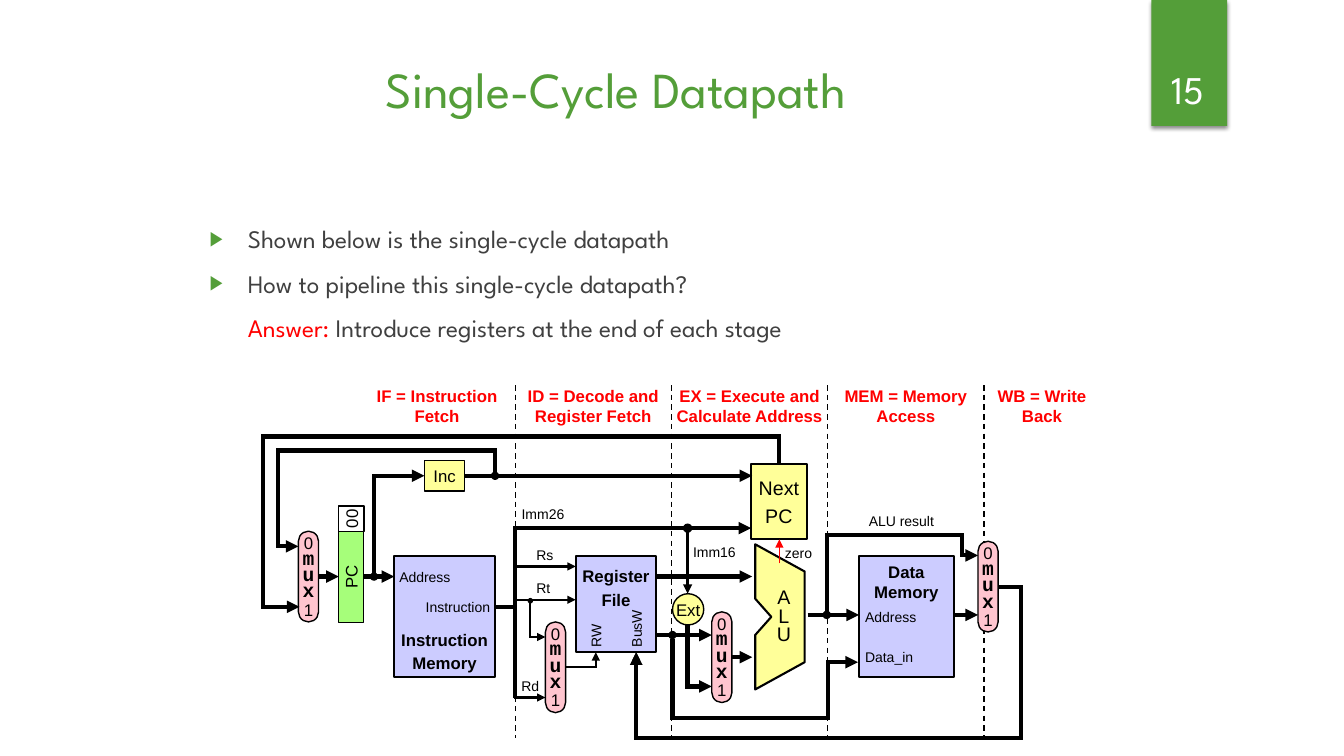
from dataclasses import dataclass
from lxml.etree import SubElement
from pptx import Presentation
from pptx.dml.color import RGBColor
from pptx.enum.dml import MSO_LINE
from pptx.enum.shapes import MSO_CONNECTOR, MSO_SHAPE
from pptx.enum.text import MSO_ANCHOR as ANCHOR, PP_ALIGN as ALIGN
from pptx.oxml.ns import qn
from pptx.util import Inches, Pt


@dataclass(frozen=True)
class Theme:
    green: str = "549E39"
    gray: str = "404040"
    black: str = "000000"
    white: str = "FFFFFF"
    red: str = "FF0000"
    blue: str = "CCCCFF"
    yellow: str = "FFFF99"
    lime: str = "A6FE7A"
    pink: str = "FFC5CF"
    heading: str = "League Spartan"
    diagram: str = "Arial"
    mono: str = "Courier New"
    title: int = 36
    number: int = 28
    body: int = 18
    large: int = 14
    medium: int = 12
    small: int = 10


T = Theme()
RECT, ROUND = MSO_SHAPE.RECTANGLE, MSO_SHAPE.ROUNDED_RECTANGLE
LEFT, CENTER, RIGHT = ALIGN.LEFT, ALIGN.CENTER, ALIGN.RIGHT
TOP, MIDDLE, BOTTOM = ANCHOR.TOP, ANCHOR.MIDDLE, ANCHOR.BOTTOM

TITLE = "Single-Cycle Datapath"
PAGE_NUMBER = "15"
BULLETS = [
    (True, [("Shown below is the single-cycle datapath", T.gray)]),
    (True, [("How to pipeline this single-cycle datapath?", T.gray)]),
    (False, [("Answer:", T.red), (" Introduce registers at the end of each stage", T.gray)]),
]
STAGES = ["IF = Instruction Fetch", "ID = Decode and Register Fetch",
          "EX = Execute and Calculate Address", "MEM = Memory Access", "WB = Write Back"]
STAGE_LEFT, STAGE_TOP, STAGE_WIDTH, STAGE_BOTTOM = 3.56, 3.82, 1.55, 7.32

# fmt: off
BLOCKS = [
    (RECT, (3.91, 5.52, 1, 1.2), 0, T.blue, 1.5, ["Instruction", "Memory"], dict(bold=True, anchor=BOTTOM, spacing=1.1)),
    (RECT, (4.21, 4.57, 0.4, 0.3), 0, T.yellow, 1, ["Inc"], {}),
    (RECT, (3.03, 5.6, 0.9, 0.25), 270, T.lime, 1, ["PC"], {}),
    (RECT, (3.36, 5.02, 0.25, 0.25), 270, T.white, 1, ["00"], {}),
    (RECT, (8.52, 5.52, 0.94, 1.2), 0, T.blue, 1.5, ["Data", "Memory"], dict(bold=True, anchor=TOP)),
    (RECT, (5.71, 5.52, 0.8, 0.95), 0, T.blue, 1.5, ["Register", "File"], dict(bold=True, anchor=TOP, spacing=1.2)),
    (RECT, (7.45, 4.6, 0.55, 0.75), 0, T.yellow, 1.5, ["Next", "PC"], dict(size=T.large, before=2.8)),
]
EXTENDER = (6.67, 5.89, 0.31, 0.31)
MUXES = [(2.96, 5.27), (7.06, 6.07), (9.7, 5.37), (5.41, 6.17)]
MUX_TEXTS = [
    (0, 0.9, ["m", "u", "x"], dict(size=T.large, font=T.mono, bold=True, spacing=0.7)),
    (0.03, 0.17, ["0"], {}),
    (0.65, 0.25, ["1"], {}),
]
ALU = [(7.49, 6.84), (7.98, 6.57), (7.98, 5.67), (7.49, 5.4), (7.49, 5.94), (7.65, 6.12), (7.49, 6.3)]
LABELS = [
    ("Imm26", (5.16, 4.97, 0.45, 0.25), 0, CENTER),
    ("Imm16", (6.86, 5.35, 0.45, 0.25), 0, CENTER),
    ("Rs", (5.32, 5.37, 0.25, 0.27), 0, LEFT),
    ("Rt", (5.32, 5.7, 0.25, 0.27), 0, LEFT),
    ("Rd", (5.11, 6.67, 0.3, 0.27), 0, CENTER),
    ("Address", (3.96, 5.62, 0.55, 0.2), 0, LEFT),
    ("Instruction", (4.11, 5.92, 0.75, 0.2), 0, RIGHT),
    ("Address", (8.58, 6.02, 0.6, 0.2), 0, LEFT),
    ("Data_in", (8.58, 6.42, 0.6, 0.2), 0, LEFT),
    ("ALU result", (8.54, 5.04, 0.8, 0.25), 0, CENTER),
    ("zero", (7.77, 5.36, 0.3, 0.25), 0, CENTER),
    ("BusW", (6.01, 6.02, 0.6, 0.2), 270, LEFT),
    ("RW", (5.65, 6.06, 0.52, 0.2), 270, LEFT),
]
ARROW = dict(tail="triangle")
BRANCH = dict(head="oval", tail="triangle")
WIRES = [
    ([(9.9, 5.82), (10.13, 5.82), (10.13, 7.32), (6.31, 7.32), (6.31, 6.47)], 3, ARROW),
    ([(5.11, 5.62), (5.71, 5.62)], 1.5, ARROW),
    ([(5.11, 5.95), (5.71, 5.95)], 1.5, ARROW),
    ([(5.11, 5.22), (5.11, 6.92)], 3, {}),
    ([(3.61, 5.72), (3.91, 5.72)], 3, ARROW),
    ([(3.16, 5.72), (3.36, 5.72)], 3, ARROW),
    ([(4.61, 4.72), (7.46, 4.72)], 3, ARROW),
    ([(3.71, 5.72), (3.71, 4.72), (4.21, 4.72)], 3, BRANCH),
    ([(4.91, 6.02), (5.11, 6.02)], 3, {}),
    ([(6.51, 5.72), (7.46, 5.72)], 3, ARROW),
    ([(7.26, 6.52), (7.46, 6.52)], 3, ARROW),
    ([(6.51, 6.3), (7.06, 6.3)], 3, ARROW),
    ([(5.09, 5.24), (7.45, 5.24)], 3, ARROW),
    ([(5.11, 6.87), (5.11, 6.92), (5.41, 6.92)], 1.5, ARROW),
    ([(8.01, 6.1), (8.52, 6.1)], 3, ARROW),
    ([(6.67, 6.3), (6.67, 7.12), (8.21, 7.12), (8.21, 6.57), (8.51, 6.57)], 3, BRANCH),
    ([(9.46, 6.1), (9.7, 6.1)], 3, ARROW),
    ([(4.91, 4.72), (4.91, 4.47), (2.76, 4.47), (2.76, 5.42), (2.96, 5.42)], 3, BRANCH),
    ([(5.26, 5.96), (5.26, 6.32), (5.41, 6.32)], 1.5, BRANCH),
    ([(5.61, 6.62), (5.91, 6.62), (5.91, 6.47)], 1.5, ARROW),
    ([(6.31, 7.32), (6.31, 6.47)], 1, ARROW),
    ([(6.82, 6.2), (6.82, 6.81), (7.06, 6.81)], 3, ARROW),
    ([(6.82, 5.24), (6.82, 5.89)], 2.25, dict(BRANCH, head_size="med")),
    ([(7.73, 4.6), (7.73, 4.33), (2.61, 4.33), (2.61, 6.02), (2.97, 6.02)], 3, ARROW),
    ([(7.73, 5.59), (7.73, 5.35)], 0.75, dict(tail="triangle", color=T.red)),
    ([(8.2, 6.1), (8.2, 5.31), (9.54, 5.31), (9.54, 5.51), (9.7, 5.51)], 3, BRANCH),
]
# fmt: on


def style_run(span, size, font, color, bold=False):
    span.font.size, span.font.name, span.font.bold = Pt(size), font, bold
    span.font.color.rgb = RGBColor.from_string(color)


def write(shape, lines, size=T.medium, font=T.diagram, color=T.black, bold=False,
          align=CENTER, anchor=MIDDLE, spacing=None, before=0):
    frame = shape.text_frame
    frame.word_wrap, frame.vertical_anchor = True, anchor
    frame.margin_left = frame.margin_right = 0
    frame.margin_top = frame.margin_bottom = Inches(0 if anchor == MIDDLE else 0.05)
    frame.text = "\n".join(lines)
    for para in frame.paragraphs:
        para.alignment, para.line_spacing, para.space_before = align, spacing, Pt(before)
        style_run(para.runs[0], size, font, color, bold)


def add_label(page, area, lines, rotation=0, **look):
    box = page.shapes.add_textbox(*map(Inches, area))
    box.rotation = rotation
    write(box, lines, **look)


def paint(shape, fill, width):
    shape.shadow.inherit = False
    shape.fill.solid()
    shape.fill.fore_color.rgb = RGBColor.from_string(fill)
    if width:
        shape.line.color.rgb = RGBColor.from_string(T.black)
        shape.line.width = Pt(width)
    else:
        shape.line.fill.background()


def add_block(page, preset, area, fill, width, rotation=0):
    block = page.shapes.add_shape(preset, *map(Inches, area))
    block.rotation = rotation
    if preset == ROUND:
        block.adjustments[0] = 0.5
    paint(block, fill, width)
    return block


def add_outline(page, points, close):
    corners = [(Inches(x), Inches(y)) for x, y in points]
    builder = page.shapes.build_freeform(*corners[0])
    builder.add_line_segments(corners[1:], close=close)
    return builder.convert_to_shape()


def add_wire(page, points, width, head=None, tail=None, color=T.black, dash=None, head_size="sm"):
    if len(points) == 2:
        ends = [Inches(length) for point in points for length in point]
        wire = page.shapes.add_connector(MSO_CONNECTOR.STRAIGHT, *ends)
    else:
        wire = add_outline(page, points, False)
        wire.fill.background()
    wire.line.color.rgb = RGBColor.from_string(color)
    wire.line.width, wire.line.dash_style = Pt(width), dash
    line = wire.line._get_or_add_ln()
    SubElement(line, qn("a:miter"), lim="800000")
    for tag, kind, size in (("a:headEnd", head, head_size), ("a:tailEnd", tail, "med")):
        if kind:
            SubElement(line, qn(tag), type=kind, w=size, len=size)
    SubElement(wire._element.spPr, qn("a:effectLst"))


def add_banner(page):
    banner = add_block(page, RECT, (11.42, 0, 0.75, 1.25), T.green, 0)
    effects = banner._element.spPr.find(qn("a:effectLst"))
    shadow = SubElement(effects, qn("a:outerShdw"), blurRad=str(Pt(3)), dist=str(Pt(2)),
                        dir="5400000", rotWithShape="0")
    tint = SubElement(shadow, qn("a:srgbClr"), val=T.black)
    SubElement(tint, qn("a:alpha"), val="45000")
    add_label(page, (11.32, 0.32, 0.92, 0.84), [PAGE_NUMBER], size=T.number,
              font=T.heading, color=T.white, anchor=BOTTOM)


def add_bullets(page):
    frame = page.shapes.add_textbox(*map(Inches, (1.98, 2.17, 9, 1.67))).text_frame
    frame.word_wrap = True
    for index, (marked, spans) in enumerate(BULLETS):
        para = frame.paragraphs[0] if index == 0 else frame.add_paragraph()
        para.space_before = Pt(10)
        for text, color in spans:
            span = para.add_run()
            span.text = text
            style_run(span, T.body, T.heading, color)
        props = para._p.get_or_add_pPr()
        props.set("marL", str(Inches(0.38)))
        if marked:
            props.set("indent", str(-Inches(0.38)))
            SubElement(SubElement(props, qn("a:buClr")), qn("a:srgbClr"), val=T.green)
            SubElement(props, qn("a:buSzPct"), val="80000")
            SubElement(props, qn("a:buFont"), typeface=T.diagram)
            SubElement(props, qn("a:buChar"), char="▶")


def add_datapath(page):
    for index, stage in enumerate(STAGES):
        left, top = STAGE_LEFT + index * STAGE_WIDTH, STAGE_TOP - 0.02
        last = index == len(STAGES) - 1
        area = (left + 0.05, top, 1.05, 0.45) if last else (left, top, STAGE_WIDTH, 0.45)
        add_label(page, area, [stage], color=T.red, bold=True)
        if index:
            add_wire(page, [(left, STAGE_TOP), (left, STAGE_BOTTOM)], 1, dash=MSO_LINE.DASH)
    for preset, area, rotation, fill, width, lines, look in BLOCKS:
        write(add_block(page, preset, area, fill, width, rotation), lines, **look)
    add_block(page, ROUND, EXTENDER, T.yellow, 1)
    for left, top in MUXES:
        add_block(page, ROUND, (left, top, 0.2, 0.9), T.pink, 1)
        for drop, height, lines, look in MUX_TEXTS:
            add_label(page, (left, top + drop, 0.2, height), lines, **look)
    paint(add_outline(page, ALU, True), T.yellow, 1.5)
    add_label(page, (7.55, 5.72, 0.45, 0.81), ["A", "L", "U"], size=T.large, spacing=0.8)
    for points, width, ends in WIRES:
        add_wire(page, points, width, **ends)
    add_label(page, EXTENDER, ["Ext"])
    for text, area, rotation, align in LABELS:
        add_label(page, area, [text], rotation, size=T.small, align=align)


def main():
    deck = Presentation()
    deck.slide_width, deck.slide_height = Inches(13.33), Inches(7.5)
    page = deck.slides.add_slide(deck.slide_layouts[6])
    add_banner(page)
    add_label(page, (1.32, 0.48, 9.58, 0.8), [TITLE], size=T.title, font=T.heading, color=T.green)
    add_bullets(page)
    add_datapath(page)
    deck.save("out.pptx")


if __name__ == "__main__":
    main()
